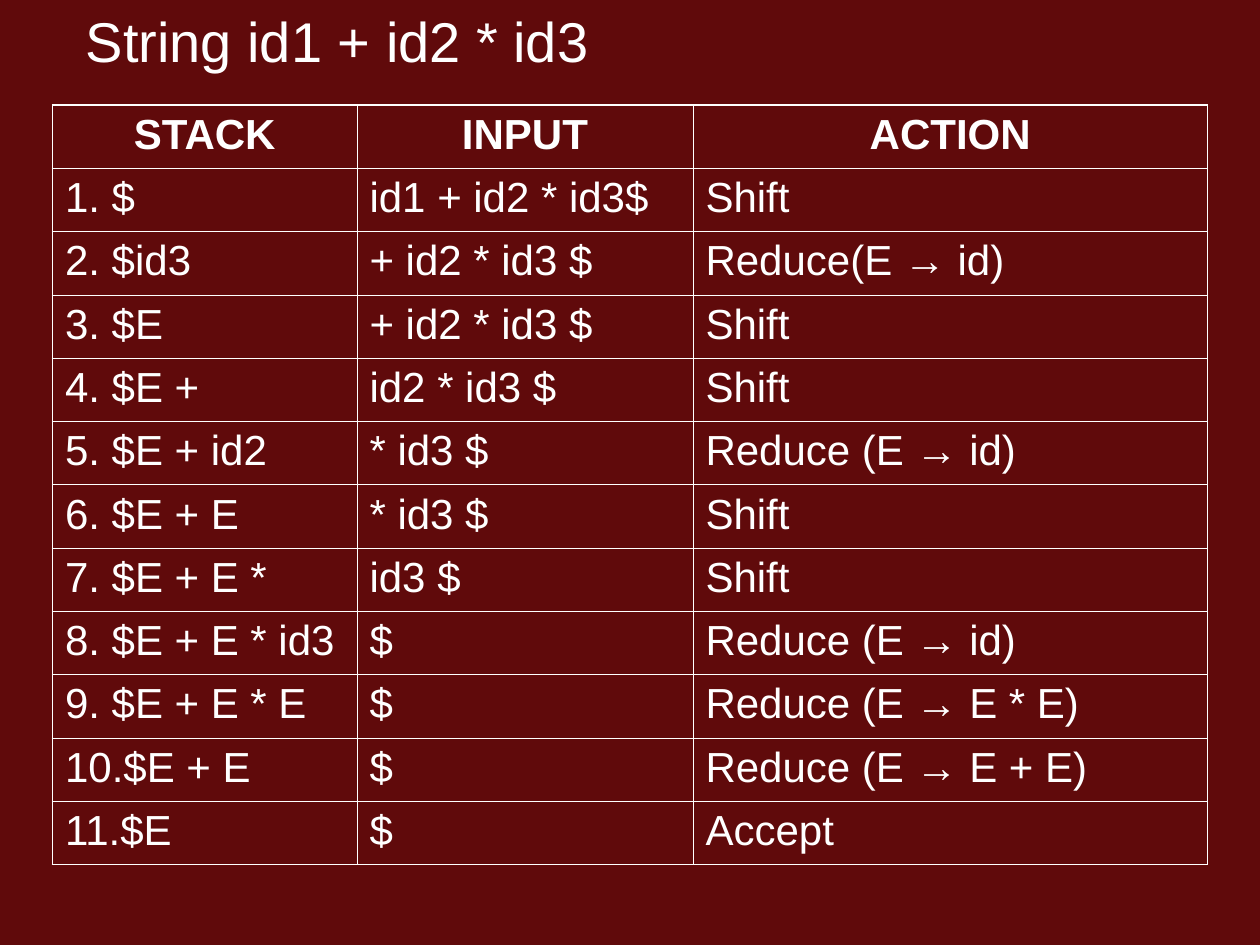
import pptx
import pptx.dml.color
import pptx.enum.text
import pptx.oxml
import pptx.oxml.ns
import pptx.util

# Content
HEADING = "String id1 + id2 * id3"
HEADERS = ("STACK", "INPUT", "ACTION")
PARSE_STEPS = [
    ("1. $", "id1 + id2 * id3$", "Shift"),
    ("2. $id3", "+ id2 * id3 $", "Reduce(E → id)"),
    ("3. $E", "+ id2 * id3 $", "Shift"),
    ("4. $E +", "id2 * id3 $", "Shift"),
    ("5. $E + id2", "* id3 $", "Reduce (E → id)"),
    ("6. $E + E", "* id3 $", "Shift"),
    ("7. $E + E *", "id3 $", "Shift"),
    ("8. $E + E * id3", "$", "Reduce (E → id)"),
    ("9. $E + E * E", "$", "Reduce (E → E * E)"),
    ("10.$E + E", "$", "Reduce (E → E + E)"),
    ("11.$E", "$", "Accept"),
]

THEME = {
    "background": "600A0B", "ink": "FFFFFF", "font": "Arial",
    "heading": 32, "cell": 24, "outer_line": 1.08, "inner_line": 0.45,
}

# Grid: 120 columns by 90 rows over the slide
GRID_COLUMNS = 120
SLIDE_WIDTH, SLIDE_HEIGHT = pptx.util.Inches(10), pptx.util.Inches(7.5)
HEADING_AREA = (7, 0, 53, 59.4)
TABLE_LEFT, TABLE_TOP = 5, 10
COLUMN_UNITS = (29, 32, 49)
ROW_UNITS = 6.03


def grid(units):
    return round(SLIDE_WIDTH * units / GRID_COLUMNS)


def color(key):
    return pptx.dml.color.RGBColor.from_string(THEME[key])


def write(paragraph, text, size, bold=False):
    """Fill a paragraph; arrows are always bold."""
    before, arrow, after = text.partition("→")
    for part, weight in ((before, bold), (arrow, True), (after, bold)):
        if part:
            run = paragraph.add_run()
            run.text = part
            style = {"name": THEME["font"], "size": pptx.util.Pt(THEME[size]), "bold": weight}
            for attribute, value in style.items():
                setattr(run.font, attribute, value)
            run.font.color.rgb = color("ink")


def draw_borders(cell, outer_sides):
    properties = cell._tc.get_or_add_tcPr()
    for side in "LRTB":
        weight = THEME["outer_line" if side in outer_sides else "inner_line"]
        properties.append(pptx.oxml.parse_xml(
            f'<a:ln{side} {pptx.oxml.ns.nsdecls("a")} w="{pptx.util.Pt(weight)}">'
            f'<a:solidFill><a:srgbClr val="{THEME["ink"]}"/></a:solidFill></a:ln{side}>'))


deck = pptx.Presentation()
deck.slide_width, deck.slide_height = SLIDE_WIDTH, SLIDE_HEIGHT
slide = deck.slides.add_slide(deck.slide_layouts[6])
slide.background.fill.solid()
slide.background.fill.fore_color.rgb = color("background")

# Heading
heading = slide.shapes.add_textbox(*map(grid, HEADING_AREA)).text_frame
heading.word_wrap = True
write(heading.paragraphs[0], HEADING, "heading")

# Parse table
rows = [HEADERS, *PARSE_STEPS]
last_row, last_column = len(rows) - 1, len(HEADERS) - 1
parse_table = slide.shapes.add_table(
    len(rows), len(HEADERS), grid(TABLE_LEFT), grid(TABLE_TOP),
    grid(sum(COLUMN_UNITS)), grid(ROW_UNITS * len(rows))).table
for flag in ("first_row", "horz_banding"):
    setattr(parse_table, flag, False)
for column, units in zip(parse_table.columns, COLUMN_UNITS):
    column.width = grid(units)

for r, entries in enumerate(rows):
    parse_table.rows[r].height = grid(ROW_UNITS)
    for c, entry in enumerate(entries):
        cell = parse_table.cell(r, c)
        edges = {"L": c == 0, "R": c == last_column, "T": r == 0, "B": r == last_row}
        draw_borders(cell, [side for side, outer in edges.items() if outer])
        cell.fill.background()
        paragraph = cell.text_frame.paragraphs[0]
        if r == 0:
            paragraph.alignment = pptx.enum.text.PP_ALIGN.CENTER
        write(paragraph, entry, "cell", bold=r == 0)

deck.save("out.pptx")
